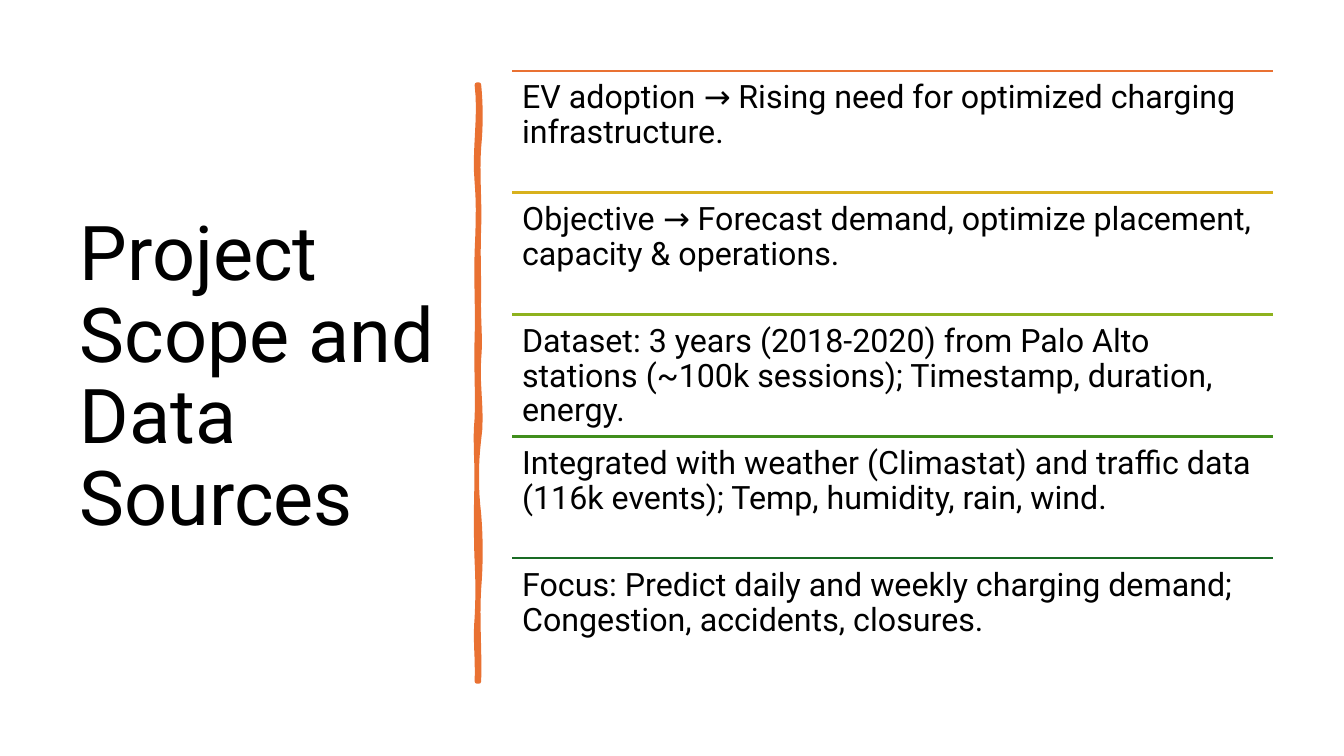
from lxml import etree
from pptx import Presentation
from pptx.dml.color import RGBColor
from pptx.enum.shapes import MSO_CONNECTOR
from pptx.enum.text import MSO_ANCHOR, MSO_AUTO_SIZE, PP_ALIGN
from pptx.oxml.ns import qn
from pptx.util import Inches, Pt

STRAIGHT = MSO_CONNECTOR.STRAIGHT
TOP, MIDDLE = MSO_ANCHOR.TOP, MSO_ANCHOR.MIDDLE
LEFT = PP_ALIGN.LEFT
NO_FIT = MSO_AUTO_SIZE.NONE

FONT = "Roboto"
COLORS = {
    "text": "000000",
    "orange": "E97132",
    "gold": "D8B11D",
    "lime": "8EB21E",
    "green": "408E1C",
    "forest": "196B24",
}

# Grid of the list, in inches
LIST_X, LIST_Y = 5.08, 0.7
LIST_W, ROW_H = 7.55, 1.21
PAD = 0.1

ROWS = [
    ("orange", "EV adoption → Rising need for optimized charging infrastructure."),
    ("gold", "Objective → Forecast demand, optimize placement, capacity & operations."),
    ("lime", "Dataset: 3 years (2018-2020) from Palo Alto stations "
             "(~100k sessions); Timestamp, duration, energy."),
    ("green", "Integrated with weather (Climastat) and traffic data "
              "(116k events); Temp, humidity, rain, wind."),
    ("forest", "Focus: Predict daily and weekly charging demand; "
               "Congestion, accidents, closures."),
]

# Edges of the brush stroke: end of each wave, then its two sideways bends
BRUSH_TOP, BRUSH_END = 0.84, 6.76
RIGHT_X, LEFT_X = 4.75, 4.73
RIGHT_WAVES = [
    (1.46, 0.02, 0.02), (2.26, -0.02, 0.01), (2.94, -0.01, 0),
    (3.56, -0.01, 0.02), (4.36, -0.02, 0.04), (5.1, -0.03, -0.03),
    (5.84, 0.02, 0.02), (BRUSH_END, -0.02, 0.01),
]
LEFT_WAVES = [
    (6.13, 0.01, -0.02), (5.57, 0.01, 0.01), (4.77, -0.01, -0.01),
    (4.15, 0, -0.02), (3.35, 0.01, -0.01), (2.5, 0.01, -0.01),
    (1.81, 0.01, 0.02), (BRUSH_TOP, -0.03, 0.04),
]
STEPS = 8


def color(name):
    return RGBColor.from_string(COLORS[name])


def write(shape, text, size, anchor):
    frame = shape.text_frame
    frame.word_wrap = True
    frame.auto_size = NO_FIT
    frame.vertical_anchor = anchor
    frame.margin_left = frame.margin_right = Inches(PAD)
    frame.margin_top = frame.margin_bottom = Inches(PAD)
    frame.text = text
    para = frame.paragraphs[0]
    para.alignment = LEFT
    para.line_spacing = 0.9
    para.space_before = Pt(0)
    para.font.name = FONT
    para.font.size = Pt(size)
    para.font.color.rgb = color("text")


def add_title(slide, text):
    title = slide.shapes.title
    title.left, title.top = Inches(0.69), Inches(LIST_Y)
    title.width, title.height = Inches(3.74), Inches(6.11)
    write(title, text, 54, MIDDLE)


def trace(x, y, waves):
    """Return points along a wavy edge that starts at x, y."""
    points = [(Inches(x), Inches(y))]
    for end, bend1, bend2 in waves:
        for step in range(1, STEPS + 1):
            t = step / STEPS
            shift = 3 * t * (1 - t) * ((1 - t) * bend1 + t * bend2)
            points.append((Inches(x + shift), Inches(y + t * (end - y))))
        y = end
    return points


def add_brush(slide):
    points = trace(RIGHT_X, BRUSH_TOP, RIGHT_WAVES)
    points += trace(LEFT_X, BRUSH_END, LEFT_WAVES)
    path = slide.shapes.build_freeform(*points[0])
    path.add_line_segments(points[1:], close=True)
    brush = path.convert_to_shape()
    brush.shadow.inherit = False
    brush.fill.solid()
    brush.fill.fore_color.rgb = color("orange")
    brush.line.color.rgb = color("orange")
    brush.line.width = Pt(3.25)


def add_rule(slide, y, hue):
    rule = slide.shapes.add_connector(
        STRAIGHT, Inches(LIST_X), Inches(y), Inches(LIST_X + LIST_W), Inches(y))
    rule.line.color.rgb = color(hue)
    rule.line.width = Pt(1.5)
    etree.SubElement(rule._element.spPr, qn("a:effectLst"))


def add_row(slide, index, hue, text):
    y = LIST_Y + index * ROW_H
    add_rule(slide, y, hue)
    box = slide.shapes.add_textbox(
        Inches(LIST_X), Inches(y), Inches(LIST_W), Inches(ROW_H))
    write(box, text, 23, TOP)


def main():
    deck = Presentation()
    deck.slide_width, deck.slide_height = Inches(13.33), Inches(7.5)
    slide = deck.slides.add_slide(deck.slide_layouts.get_by_name("Title Only"))
    add_title(slide, "Project Scope and Data Sources")
    add_brush(slide)
    for index, (hue, text) in enumerate(ROWS):
        add_row(slide, index, hue, text)
    deck.save("out.pptx")


if __name__ == "__main__":
    main()
